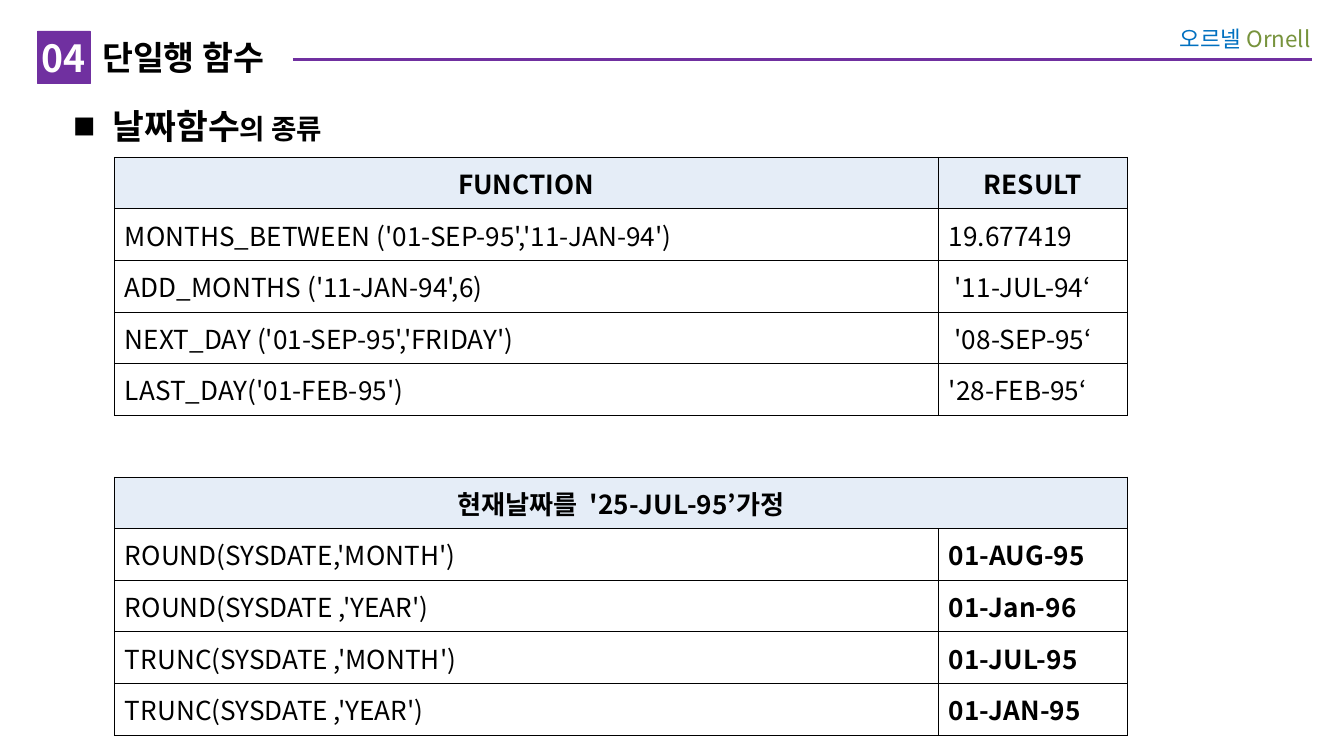
from lxml import etree
from pptx import Presentation
from pptx.dml.color import RGBColor
from pptx.enum.shapes import MSO_CONNECTOR, MSO_SHAPE
from pptx.enum.text import MSO_ANCHOR, PP_ALIGN
from pptx.oxml.ns import qn
from pptx.util import Inches, Pt

LEFT, CENTER, RIGHT = PP_ALIGN.LEFT, PP_ALIGN.CENTER, PP_ALIGN.RIGHT
TOP, MIDDLE = MSO_ANCHOR.TOP, MSO_ANCHOR.MIDDLE
RECTANGLE = MSO_SHAPE.RECTANGLE
STRAIGHT = MSO_CONNECTOR.STRAIGHT

FONT = "Noto Sans CJK KR"
COLORS = {
    "purple": "7030A0", "blue": "0070C0", "green": "77933C",
    "header": "E5EDF7", "black": "000000", "white": "FFFFFF",
}
WIDTH = 10
HEIGHT = WIDTH * 9 / 16
COLUMNS = (6.13, 1.41)
ROW, GAP = 0.384, 0.46

FUNCTIONS = [
    ("FUNCTION", "RESULT"),
    ("MONTHS_BETWEEN ('01-SEP-95','11-JAN-94')", "19.677419"),
    ("ADD_MONTHS ('11-JAN-94',6)", " '11-JUL-94‘"),
    ("NEXT_DAY ('01-SEP-95','FRIDAY')", " '08-SEP-95‘"),
    ("LAST_DAY('01-FEB-95')", "'28-FEB-95‘"),
]
ROUNDING = [
    ("현재날짜를  '25-JUL-95’가정", ""),
    ("ROUND(SYSDATE,'MONTH')", "01-AUG-95"),
    ("ROUND(SYSDATE ,'YEAR')", "01-Jan-96"),
    ("TRUNC(SYSDATE ,'MONTH')", "01-JUL-95"),
    ("TRUNC(SYSDATE ,'YEAR')", "01-JAN-95"),
]


def rgb(name):
    return RGBColor.from_string(COLORS[name])


def inches(box):
    return [Inches(length) for length in box]


def write(frame, *runs, size=14, color="black", bold=False, align=LEFT,
          anchor=MIDDLE, insets=None, spacing=None, bullet=None, hang=0):
    frame.word_wrap = True
    frame.vertical_anchor = anchor
    if insets:
        (frame.margin_left, frame.margin_top,
         frame.margin_right, frame.margin_bottom) = inches(insets)
    paragraph = frame.paragraphs[0]
    paragraph.alignment = align
    if spacing:
        paragraph.line_spacing = spacing
    if bullet:
        properties = paragraph._p.get_or_add_pPr()
        properties.set("marL", str(Inches(hang)))
        properties.set("indent", str(-Inches(hang)))
        etree.SubElement(properties, qn("a:buSzPct")).set("val", "65000")
        etree.SubElement(properties, qn("a:buFont")).set("typeface", FONT)
        etree.SubElement(properties, qn("a:buChar")).set("char", bullet)
    for text, changes in runs:
        run = paragraph.add_run()
        run.text = text
        font = run.font
        font.name = FONT
        font.size = Pt(changes.get("size", size))
        font.bold = bold
        font.color.rgb = rgb(changes.get("color", color))
        east_asian = etree.SubElement(run._r.get_or_add_rPr(), qn("a:ea"))
        east_asian.set("typeface", FONT)


def draw_heading(slide, left, top, width, height):
    badge = slide.shapes.add_shape(
        RECTANGLE, *inches((left, top, height, height)))
    badge.shadow.inherit = False
    badge.fill.solid()
    badge.fill.fore_color.rgb = rgb("purple")
    badge.line.color.rgb = rgb("purple")
    badge.line.width = Pt(0.25)
    write(badge.text_frame, ("04", {}), size=20, color="white", bold=True,
          align=CENTER, insets=(0, 0, 0, 0))

    title = slide.shapes.title
    title_width = 1.5
    title_left = left + height + 0.01
    title.left, title.top, title.width, title.height = inches(
        (title_left, top, title_width, height))
    write(title.text_frame, ("단일행 함수", {}), size=18, bold=True,
          insets=(0.08, 0.04, 0, 0.04))

    rule_top = top + height * 0.54
    rule = slide.shapes.add_connector(STRAIGHT, *inches(
        (title_left + title_width, rule_top, left + width, rule_top)))
    rule.line.color.rgb = rgb("purple")
    rule.line.width = Pt(1.5)
    etree.SubElement(rule._element.spPr, qn("a:effectLst"))


def draw_course(slide, *box):
    course = slide.shapes.add_textbox(*inches(box))
    write(course.text_frame, ("오르넬 ", {}), ("Ornell", {"color": "green"}),
          size=12, color="blue", align=RIGHT, insets=(0.1, 0.08, 0.1, 0.08))


def draw_topic(slide, *box):
    topic = slide.shapes.add_textbox(*inches(box))
    write(topic.text_frame, ("날짜함수", {}), ("의 종류", {"size": 14.8}),
          size=18.5, bold=True, anchor=TOP, insets=(0.12, 0, 0.1, 0.05),
          spacing=1.3, bullet="■", hang=0.29)


def set_borders(cell, sides):
    properties = cell._tc.get_or_add_tcPr()
    for position, side in enumerate(("L", "R", "T", "B")):
        border = etree.Element(qn(f"a:ln{side}"), w=str(Pt(0.45)))
        if side in sides:
            fill = etree.SubElement(border, qn("a:solidFill"))
            etree.SubElement(fill, qn("a:srgbClr")).set("val", COLORS["black"])
        else:
            etree.SubElement(border, qn("a:noFill"))
        properties.insert(position, border)


def draw_functions(slide, left, top):
    rows = [*FUNCTIONS, ("", ""), *ROUNDING]
    gap_row = len(FUNCTIONS)
    header_rows = (0, gap_row + 1)
    heights = [GAP if index == gap_row else ROW for index in range(len(rows))]
    table = slide.shapes.add_table(
        len(rows), len(COLUMNS),
        *inches((left, top, sum(COLUMNS), sum(heights)))).table
    for column, width in zip(table.columns, COLUMNS):
        column.width = Inches(width)
    for row_index, (texts, height) in enumerate(zip(rows, heights)):
        table.rows[row_index].height = Inches(height)
        is_header = row_index in header_rows
        for column_index, text in enumerate(texts):
            cell = table.cell(row_index, column_index)
            cell.fill.solid()
            cell.fill.fore_color.rgb = rgb("header" if is_header else "white")
            set_borders(cell, "TB" if row_index == gap_row else "LRTB")
            (cell.margin_left, cell.margin_top,
             cell.margin_right, cell.margin_bottom) = inches((0.08, 0.05) * 2)
            cell.vertical_anchor = MIDDLE
            if text:
                is_rounded = row_index > gap_row and column_index == 1
                write(cell.text_frame, (text, {}),
                      bold=is_header or is_rounded,
                      align=CENTER if is_header else LEFT)
    assumption = header_rows[1]
    table.cell(assumption, 0).merge(table.cell(assumption, 1))


def main():
    deck = Presentation()
    deck.slide_width, deck.slide_height = inches((WIDTH, HEIGHT))
    slide = deck.slides.add_slide(deck.slide_layouts[5])
    draw_heading(slide, 0.28, 0.23, 9.48, 0.39)
    draw_course(slide, 8.31, 0.11, 1.54, 0.36)
    draw_topic(slide, 0.43, 0.69, 8.04, 0.47)
    draw_functions(slide, 0.85, 1.17)
    deck.save("out.pptx")


if __name__ == "__main__":
    main()
